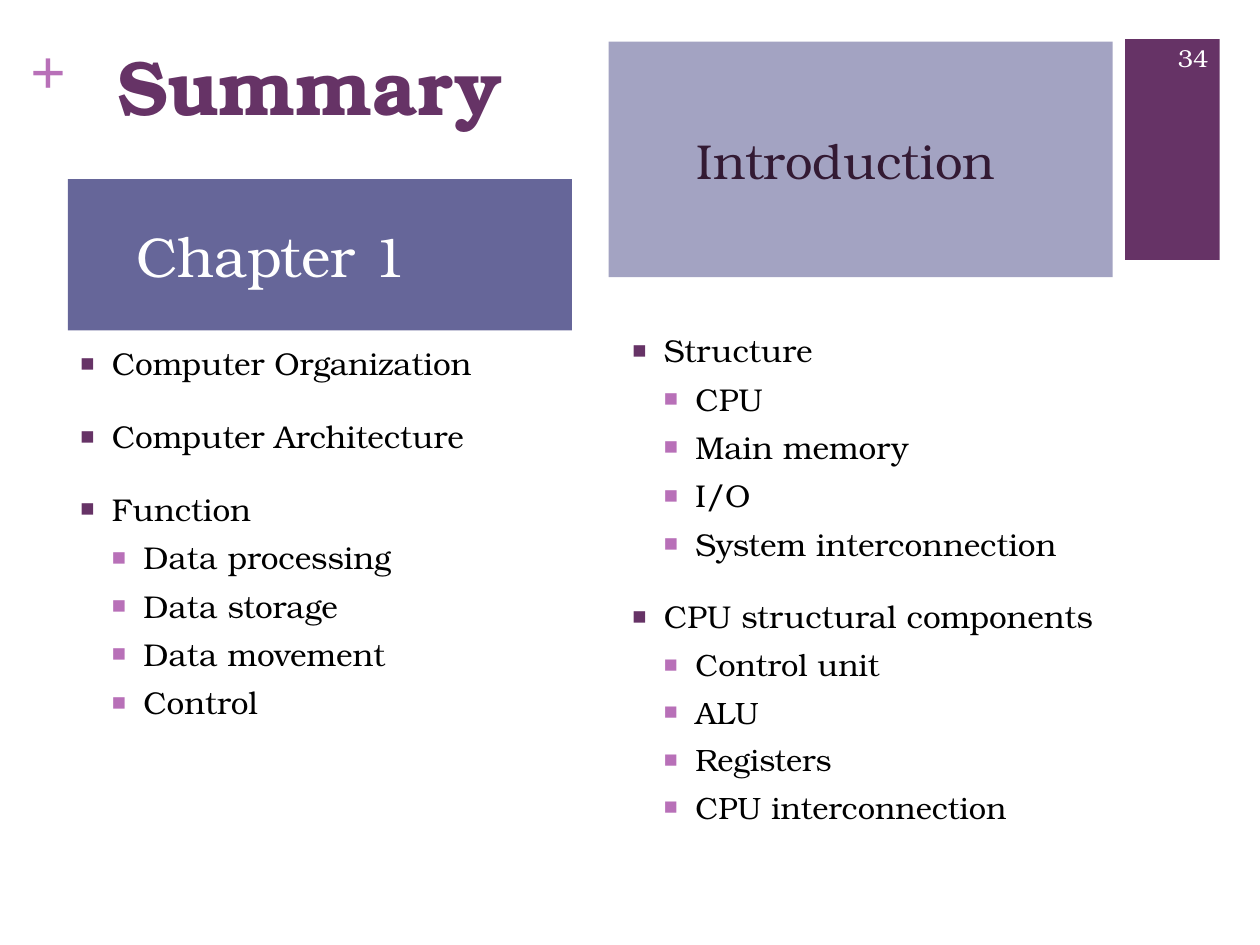
from dataclasses import dataclass

from lxml.etree import SubElement
from pptx import Presentation
from pptx.dml.color import RGBColor
from pptx.enum.shapes import MSO_SHAPE
from pptx.enum.text import MSO_ANCHOR, MSO_AUTO_SIZE, PP_ALIGN
from pptx.oxml.ns import qn
from pptx.util import Cm, Pt


@dataclass(frozen=True)
class Theme:
    """Fonts, colours and type sizes of the slide."""
    font: str = "TeX Gyre Bonum"
    mark_font: str = "Times New Roman"
    plum: str = "663366"
    orchid: str = "B870B8"
    slate: str = "666699"
    mist: str = "A3A3C2"
    dark: str = "331A33"
    black: str = "000000"
    white: str = "FFFFFF"
    title: float = 44
    mark: float = 36
    chapter: float = 32
    topic: float = 28
    body: float = 18
    small_body: float = 17.6
    number: float = 14


def write(p, text, *, font, size, color, bold=False, align=PP_ALIGN.LEFT, before=0):
    """Add a formatted run of text to a paragraph."""
    p.alignment = align
    p.line_spacing = 1.0
    p.space_before, p.space_after = Pt(before), Pt(0)
    r = p.add_run()
    r.text = text
    r.font.name, r.font.size, r.font.bold = font, Pt(size), bold
    r.font.color.rgb = RGBColor.from_string(color)


def add_bullet(p, color, level):
    """Give a paragraph a square bullet and a hanging indent."""
    p.level = level
    pPr = p._p.get_or_add_pPr()
    pPr.set("marL", str(Cm(0.635 * (level + 1))))
    pPr.set("indent", str(-Cm(0.635)))
    SubElement(SubElement(pPr, qn("a:buClr")), qn("a:srgbClr"), val=color)
    SubElement(pPr, qn("a:buSzPct"), val="75000")
    SubElement(pPr, qn("a:buChar"), char="■")


class SlideBuilder:
    """Holds the theme and the current slide."""

    def __init__(self, s, theme):
        """Keep the slide and its style."""
        self.s, self.theme = s, theme

    def frame(self, sp, box, anchor=MSO_ANCHOR.TOP, insets=(0.25, 0.13, 0.25, 0.13)):
        """Place a shape, set up its text frame and return the frame."""
        sp.left, sp.top, sp.width, sp.height = map(Cm, box)
        tf = sp.text_frame
        tf.word_wrap, tf.auto_size = True, MSO_AUTO_SIZE.NONE
        tf.vertical_anchor = anchor
        (tf.margin_left, tf.margin_top,
         tf.margin_right, tf.margin_bottom) = map(Cm, insets)
        return tf

    def bar(self, box, color):
        """Add a plain coloured rectangle."""
        sp = self.s.shapes.add_shape(MSO_SHAPE.RECTANGLE, *map(Cm, box))
        sp.shadow.inherit = False
        sp.fill.solid()
        sp.fill.fore_color.rgb = RGBColor.from_string(color)
        sp.line.fill.background()

    def label(self, box, text, *, anchor=MSO_ANCHOR.TOP, insets=(0, 0, 0, 0), **fmt):
        """Add a text box with one line."""
        sp = self.s.shapes.add_textbox(*map(Cm, box))
        write(self.frame(sp, box, anchor, insets).paragraphs[0], text, **fmt)

    def title(self, box, text):
        """Fill the title placeholder."""
        t = self.theme
        tf = self.frame(self.s.shapes.title, box)
        write(tf.paragraphs[0], text, font=t.font, size=t.title, color=t.plum, bold=True)

    def header(self, idx, box, text, *, fill, size, color, right):
        """Fill a column header placeholder; right is its right inset."""
        sp = self.s.placeholders[idx]
        tf = self.frame(sp, box, MSO_ANCHOR.MIDDLE, (0.25, 0, right, 0))
        sp.fill.solid()
        sp.fill.fore_color.rgb = RGBColor.from_string(fill)
        write(tf.paragraphs[0], text, font=self.theme.font, size=size, color=color,
              align=PP_ALIGN.CENTER)

    def outline(self, idx, box, groups):
        """Fill a list placeholder with (heading, sub-items, sub-item size) groups."""
        t = self.theme
        tf = self.frame(self.s.placeholders[idx], box)
        p = tf.paragraphs[0]
        for heading, items, item_size in groups:
            rows = [(heading, 0, t.body, t.plum, 20)]
            rows += [(item, 1, item_size, t.orchid, 6) for item in items]
            for text, level, size, color, before in rows:
                if p.runs:
                    p = tf.add_paragraph()
                write(p, text, font=t.font, size=size, color=t.black, before=before)
                add_bullet(p, color, level)


def main():
    """Build the summary slide and save it."""
    t = Theme()
    prs = Presentation()
    prs.slide_width, prs.slide_height = Cm(25.4), Cm(19.05)
    b = SlideBuilder(prs.slides.add_slide(prs.slide_layouts.get_by_name("Comparison")), t)

    b.bar((22.68, 0.79, 1.91, 4.45), t.plum)
    b.label((0.61, 0.64, 0.74, 1.55), "+", font=t.mark_font, size=t.mark,
            color=t.orchid, bold=True)
    b.title((2.11, 0.64, 11.3, 3.1), "Summary")

    b.header(1, (1.37, 3.61, 10.16, 3.05), "Chapter 1", fill=t.slate,
             size=t.chapter, color=t.white, right=2.18)
    b.outline(2, (1.37, 6.81, 10.16, 10.21), [
        ("Computer Organization", [], t.body),
        ("Computer Architecture", [], t.body),
        ("Function", ["Data processing", "Data storage", "Data movement", "Control"],
         t.body),
    ])
    b.header(3, (12.27, 0.84, 10.16, 4.75), "Introduction", fill=t.mist,
             size=t.topic, color=t.dark, right=0.86)
    b.outline(4, (12.5, 6.55, 10.16, 11), [
        ("Structure", ["CPU", "Main memory", "I/O", "System interconnection"], t.body),
        ("CPU structural components",
         ["Control unit", "ALU", "Registers", "CPU interconnection"], t.small_body),
    ])
    b.label((23.06, 0.66, 1.55, 1.02), "34", anchor=MSO_ANCHOR.MIDDLE,
            insets=(0.25, 0.13, 0.25, 0.13), font=t.font, size=t.number,
            color=t.white, align=PP_ALIGN.RIGHT)
    prs.save("out.pptx")


main()
